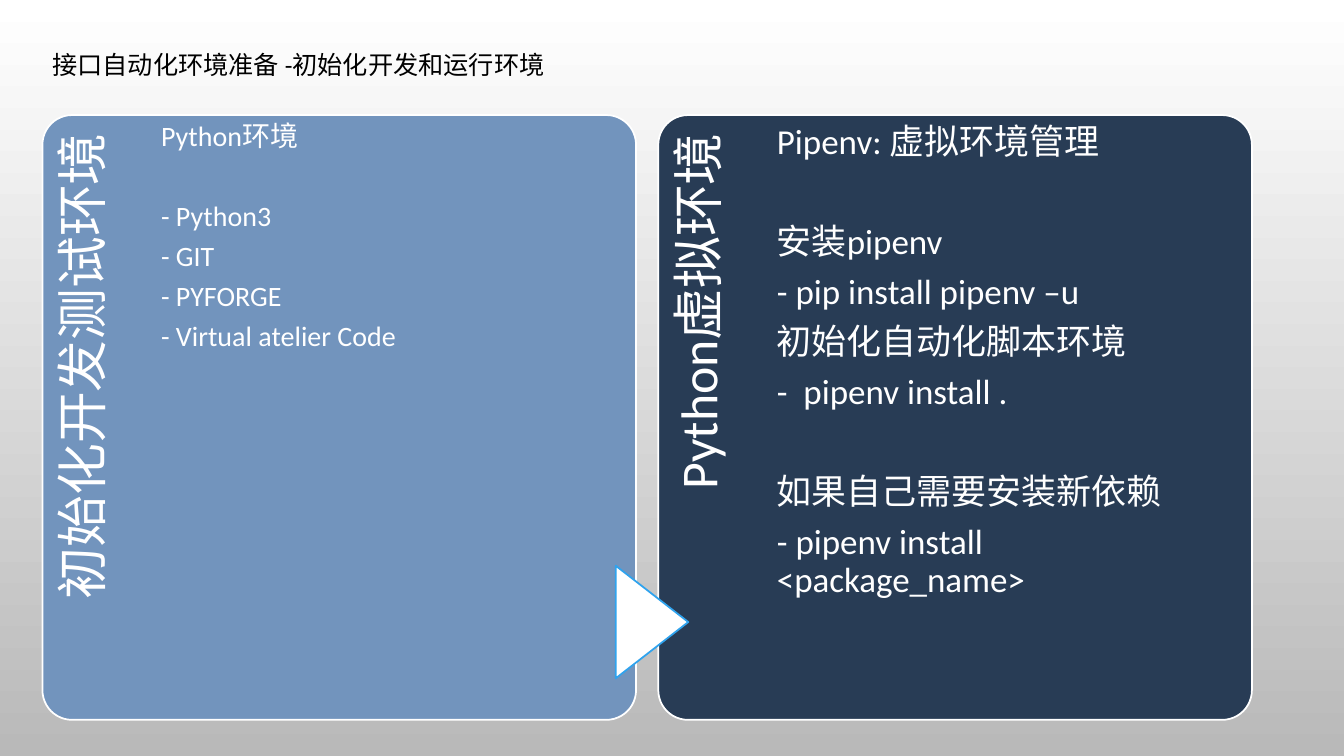
from pptx import Presentation
from pptx.dml.color import RGBColor
from pptx.enum.shapes import MSO_SHAPE
from pptx.enum.text import PP_ALIGN
from pptx.util import Cm, Pt

TITLE = "接口自动化环境准备 -初始化开发和运行环境"
CARDS = [
    {"head": "初始化开发测试环境", "fill": "7294BD", "size": 20, "inset": 0.18,
     "groups": [["Python环境"],
                ["- Python3", "- GIT", "- PYFORGE", "- Virtual atelier Code"]]},
    {"head": "Python虚拟环境", "fill": "283C55", "size": 25, "inset": 0.23,
     "groups": [["Pipenv: 虚拟环境管理"],
                ["安装pipenv", "- pip install pipenv –u",
                 "初始化自动化脚本环境", "-  pipenv install ."],
                ["如果自己需要安装新依赖", "- pipenv install <package_name>"]]},
]
LEFT, TOP, WIDE, HIGH, STEP = 1.07, 2.9, 14.96, 15.24, 15.52
BAND, BODY, SPINE = 2.99, 11.15, 12.5
WHITE = "FFFFFF"


def color(code):
    return RGBColor.from_string(code)


def shape(kind, x, y, w, h, fill, line):
    item = slide.shapes.add_shape(kind, Cm(x), Cm(y), Cm(w), Cm(h))
    item.shadow.inherit = False
    item.fill.solid()
    item.fill.fore_color.rgb = color(fill)
    item.line.color.rgb = color(line)
    item.line.width = Pt(1.25)
    return item


def text(x, y, w, h, groups, size, ink=WHITE, inset=None, lead=None):
    box = slide.shapes.add_textbox(Cm(x), Cm(y), Cm(w), Cm(h))
    frame = box.text_frame
    frame.word_wrap = True
    if inset:
        frame.margin_left = frame.margin_right = frame.margin_bottom = 0
        frame.margin_top = Cm(inset)
    frame.text = "\n".join(row for group in groups for row in group)
    starts = [sum(map(len, groups[:i])) for i in range(1, len(groups))]
    for i, para in enumerate(frame.paragraphs):
        if lead:
            para.line_spacing = lead
            para.space_after = Pt(size * 0.35)
        if i in starts:
            para.space_before = Pt(size * 1.43)
        for run in para.runs:
            run.font.name = "Calibri"
            run.font.size = Pt(size)
            run.font.color.rgb = color(ink)
    return box


def card(x, data):
    panel = shape(MSO_SHAPE.ROUNDED_RECTANGLE, x, TOP, WIDE, HIGH, data["fill"], WHITE)
    panel.adjustments[0] = 0.05
    side = text(x + (BAND - SPINE) / 2, TOP + (SPINE - BAND) / 2, SPINE, BAND,
                [[data["head"]]], 37, inset=0.36, lead=0.9)
    side.rotation = 270
    side.text_frame.margin_right = Cm(0.46)
    side.text_frame.paragraphs[0].alignment = PP_ALIGN.RIGHT
    text(x + BAND, TOP, BODY, HIGH, data["groups"], data["size"],
         inset=data["inset"], lead=0.9)


deck = Presentation()
deck.slide_width, deck.slide_height = Cm(33.87), Cm(19.05)
slide = deck.slides.add_slide(deck.slide_layouts[6])
back = slide.background.fill
back.gradient()
back.gradient_angle = 270
for stop, code in zip(back.gradient_stops, (WHITE, "B9B9B9")):
    stop.color.rgb = color(code)

text(LEFT, 1.12, 17.96, 1.8, [[TITLE]], 18, "000000")
for n, data in enumerate(CARDS):
    card(LEFT + n * STEP, data)
arrow = shape(MSO_SHAPE.FLOWCHART_EXTRACT, 15.01, 14.76, 2.84, 1.83, WHITE, "2FA3EE")
arrow.rotation = 90
deck.save("out.pptx")
